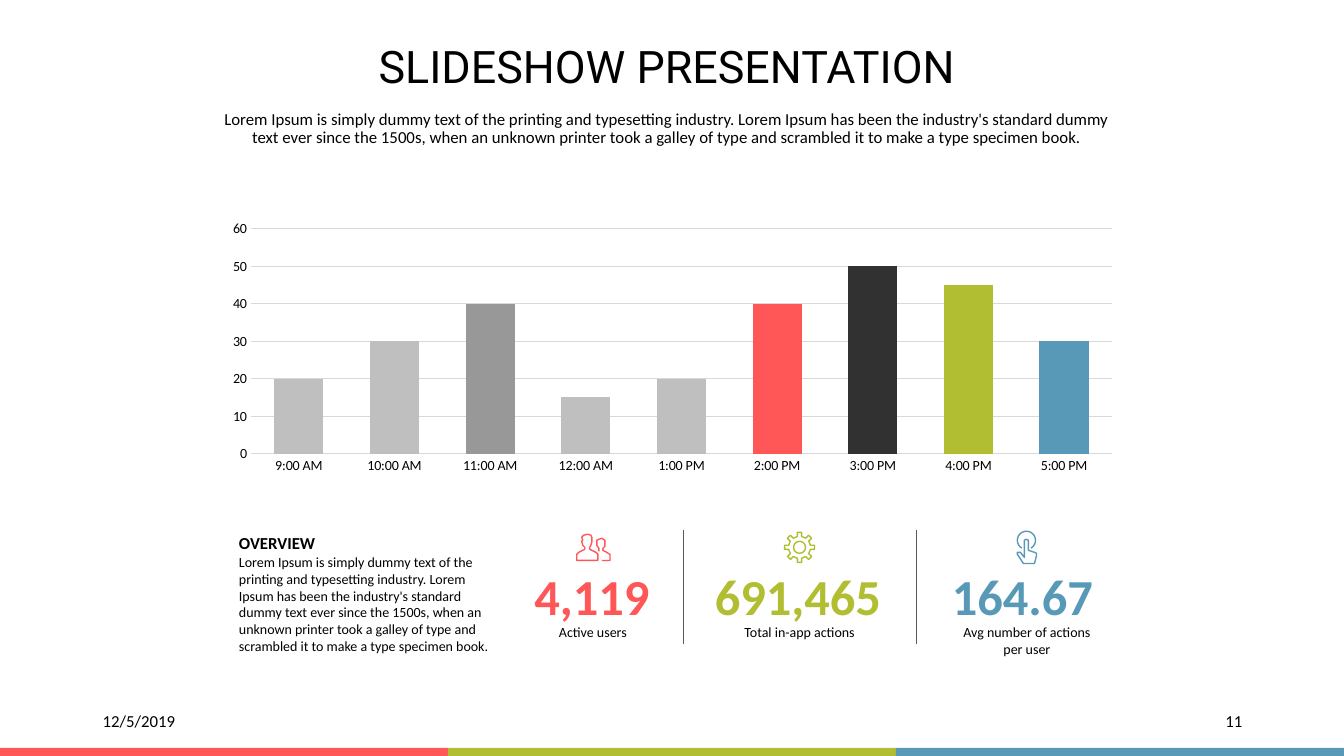
import math

from lxml import etree
from pptx import Presentation
from pptx import util as u
from pptx.chart.data import CategoryChartData
from pptx.dml.color import RGBColor
from pptx.enum import chart, shapes, text
from pptx.oxml.ns import qn

COLORS = {
    "red": "FF5757", "green": "B1BE32", "blue": "5899B7", "black": "000000",
    "silver": "BFBFBF", "gray": "989898", "dark": "313131",
    "divider": "595959", "grid": "D9D9D9",
}
LOREM = (
    "Lorem Ipsum is simply dummy text of the printing and typesetting industry. "
    "Lorem Ipsum has been the industry's standard dummy text ever since the 1500s, "
    "when an unknown printer took a galley of type and scrambled it to make a type "
    "specimen book."
)
HOURS = [
    ("9:00 AM", 20, "silver"), ("10:00 AM", 30, "silver"), ("11:00 AM", 40, "gray"),
    ("12:00 AM", 15, "silver"), ("1:00 PM", 20, "silver"), ("2:00 PM", 40, "red"),
    ("3:00 PM", 50, "dark"), ("4:00 PM", 45, "green"), ("5:00 PM", 30, "blue"),
]
STATS = [
    ("4,119", 5.3, 1.17, "red", "Active users", 5.52, 0.72),
    ("691,465", 7.09, 1.69, "green", "Total in-app actions", 7.25, 1.36),
    ("164.67", 9.44, 1.48, "blue", "Avg number of actions\nper user", 9.4, 1.57),
]
FRONT_USER = [
    (5.72, 5.56), (5.72, 5.5), (5.74, 5.48), (5.8, 5.45), (5.8, 5.43), (5.78, 5.41),
    (5.77, 5.37), (5.78, 5.36), (5.77, 5.33), (5.79, 5.31), (5.83, 5.3), (5.86, 5.31),
    (5.87, 5.33), (5.87, 5.36), (5.87, 5.38), (5.86, 5.41), (5.85, 5.43),
    (5.85, 5.45), (5.91, 5.48), (5.93, 5.5), (5.93, 5.56),
]
BACK_USER = [
    (5.94, 5.47), (5.94, 5.44), (5.92, 5.41), (5.92, 5.38), (5.92, 5.36), (5.94, 5.35),
    (5.97, 5.34), (6, 5.36), (6, 5.39), (6, 5.42), (5.98, 5.44), (5.98, 5.46),
    (6.02, 5.48), (6.05, 5.5), (6.05, 5.56), (5.97, 5.56),
]
HAND = [
    (10.15, 5.59), (10.09, 5.5), (10.09, 5.48), (10.12, 5.48), (10.16, 5.53),
    (10.16, 5.38), (10.16, 5.36), (10.18, 5.35), (10.2, 5.36), (10.2, 5.38),
    (10.2, 5.46), (10.26, 5.48), (10.28, 5.49), (10.28, 5.51), (10.26, 5.59),
]


def around(cx, cy, radius, degrees):
    angle = math.radians(degrees)
    return cx + radius * math.cos(angle), cy + radius * math.sin(angle)


class SlideBuilder:
    font = "Calibri"

    def __init__(self, prs):
        self.slide = prs.slides.add_slide(prs.slide_layouts[5])
        self.shapes = self.slide.shapes

    def color(self, name):
        return RGBColor.from_string(COLORS[name])

    def box(self, x, y, w, h):
        return [u.Inches(v) for v in (x, y, w, h)]

    def style(self, font, size, color="black", bold=False, name=None):
        font.name = name or self.font
        font.size = u.Pt(size)
        font.bold = bold
        font.color.rgb = self.color(color)

    def paragraphs(self, tf, content, size, color, bold, align, name=None, heading=False):
        tf.text = content
        tf.word_wrap = True
        for p in tf.paragraphs:
            p.alignment = align
            if heading:
                p.line_spacing = 0.9
                p.space_before = u.Pt(10)
            for r in p.runs:
                self.style(r.font, size, color, bold, name)

    def title(self, content, x, y, w, h):
        sp = self.shapes.title
        sp.left, sp.top, sp.width, sp.height = self.box(x, y, w, h)
        tf = sp.text_frame
        tf.auto_size = text.MSO_AUTO_SIZE.NONE
        tf.vertical_anchor = text.MSO_ANCHOR.TOP
        self.paragraphs(tf, content, 32, "black", False, text.PP_ALIGN.CENTER, "Roboto", True)

    def label(self, content, x, y, w, h, size, color="black", bold=False,
              align=text.PP_ALIGN.LEFT, margin=0, anchor=text.MSO_ANCHOR.TOP, heading=False):
        tf = self.shapes.add_textbox(*self.box(x, y, w, h)).text_frame
        if not margin:
            tf.margin_left = tf.margin_right = tf.margin_top = tf.margin_bottom = 0
        tf.vertical_anchor = anchor
        self.paragraphs(tf, content, size, color, bold, align, heading=heading)

    def bar(self, x, y, w, h, color):
        sp = self.shapes.add_shape(shapes.MSO_SHAPE.RECTANGLE, *self.box(x, y, w, h))
        sp.shadow.inherit = False
        sp.fill.solid()
        sp.fill.fore_color.rgb = self.color(color)
        sp.line.fill.background()

    def outline(self, sp, color):
        sp.shadow.inherit = False
        sp.fill.background()
        sp.line.color.rgb = self.color(color)
        sp.line.width = u.Pt(1)

    def ring(self, cx, cy, radius, color):
        side = 2 * radius
        area = self.box(cx - radius, cy - radius, side, side)
        self.outline(self.shapes.add_shape(shapes.MSO_SHAPE.OVAL, *area), color)

    def stroke(self, points, color, close=True):
        points = [(u.Inches(x), u.Inches(y)) for x, y in points]
        builder = self.shapes.build_freeform(*points[0], scale=1.0)
        builder.add_line_segments(points[1:], close=close)
        self.outline(builder.convert_to_shape(), color)

    def divider(self, x, top, bottom):
        ends = self.box(x, top, x, bottom)
        line = self.shapes.add_connector(shapes.MSO_CONNECTOR.STRAIGHT, *ends)
        line.line.color.rgb = self.color("divider")
        line.line.width = u.Pt(0.75)
        etree.SubElement(line._element.spPr, qn("a:effectLst"))

    def columns(self, x, y, w, h):
        data = CategoryChartData()
        data.categories = [hour for hour, _, _ in HOURS]
        data.add_series("Series 1", [value for _, value, _ in HOURS])
        kind = chart.XL_CHART_TYPE.COLUMN_CLUSTERED
        ch = self.shapes.add_chart(kind, *self.box(x, y, w, h), data).chart
        ch.has_legend = False
        ch.has_title = False
        self.style(ch.font, 10)
        plot = ch.plots[0]
        plot.vary_by_categories = False
        plot.gap_width = 95
        plot.overlap = -3
        for i, (_, _, color) in enumerate(HOURS):
            fill = plot.series[0].points[i].format.fill
            fill.solid()
            fill.fore_color.rgb = self.color(color)
        for axis in (ch.category_axis, ch.value_axis):
            axis.major_tick_mark = axis.minor_tick_mark = chart.XL_TICK_MARK.NONE
            self.style(axis.tick_labels.font, 10)
        values = ch.value_axis
        values.minimum_scale, values.maximum_scale, values.major_unit = 0, 60, 10
        values.format.line.fill.background()
        for line in (ch.category_axis.format.line, values.major_gridlines.format.line):
            line.color.rgb = self.color("grid")
            line.width = u.Pt(0.75)


def main():
    prs = Presentation()
    prs.slide_width, prs.slide_height = u.Inches(13.33), u.Inches(7.5)
    s = SlideBuilder(prs)
    center, right = text.PP_ALIGN.CENTER, text.PP_ALIGN.RIGHT
    middle = text.MSO_ANCHOR.MIDDLE

    third = 13.33 / 3
    for i, color in enumerate(("red", "green", "blue")):
        s.bar(i * third, 7.42, third, 0.08, color)

    s.title("SLIDESHOW PRESENTATION", 2.03, 0.39, 9.17, 0.59)
    s.label(LOREM, 2.03, 1.05, 9.17, 0.46, 12, align=center, margin=1, heading=True)
    s.columns(2.13, 2.14, 9.08, 2.61)

    s.label("OVERVIEW", 2.37, 5.29, 0.79, 0.2, 12, bold=True)
    s.label(LOREM, 2.37, 5.49, 2.62, 1.01, 10)
    for number, x, w, color, caption, caption_x, caption_w in STATS:
        s.label(number, x, 5.61, w, 0.61, 36, color, True)
        s.label(caption, caption_x, 6.19, caption_w, 0.17, 10, align=center)
    for x in (6.78, 9.09):
        s.divider(x, 5.26, 6.39)

    s.stroke(FRONT_USER, "red")
    s.stroke(BACK_USER, "red", close=False)
    tooth = ((0.11, -11), (0.15, -8), (0.15, 8), (0.11, 11))
    gear = [around(7.93, 5.43, radius, 45 * i + turn)
            for i in range(8) for radius, turn in tooth]
    s.stroke(gear, "green")
    s.ring(7.93, 5.43, 0.06, "green")
    s.stroke([around(10.18, 5.36, 0.09, a) for a in range(120, 421, 15)], "blue", close=False)
    s.stroke(HAND, "blue")

    s.label("12/5/2019", 0.92, 6.95, 3, 0.4, 12, margin=1, anchor=middle)
    s.label("11", 9.42, 6.95, 3, 0.4, 12, align=right, margin=1, anchor=middle)
    prs.save("out.pptx")


if __name__ == "__main__":
    main()
